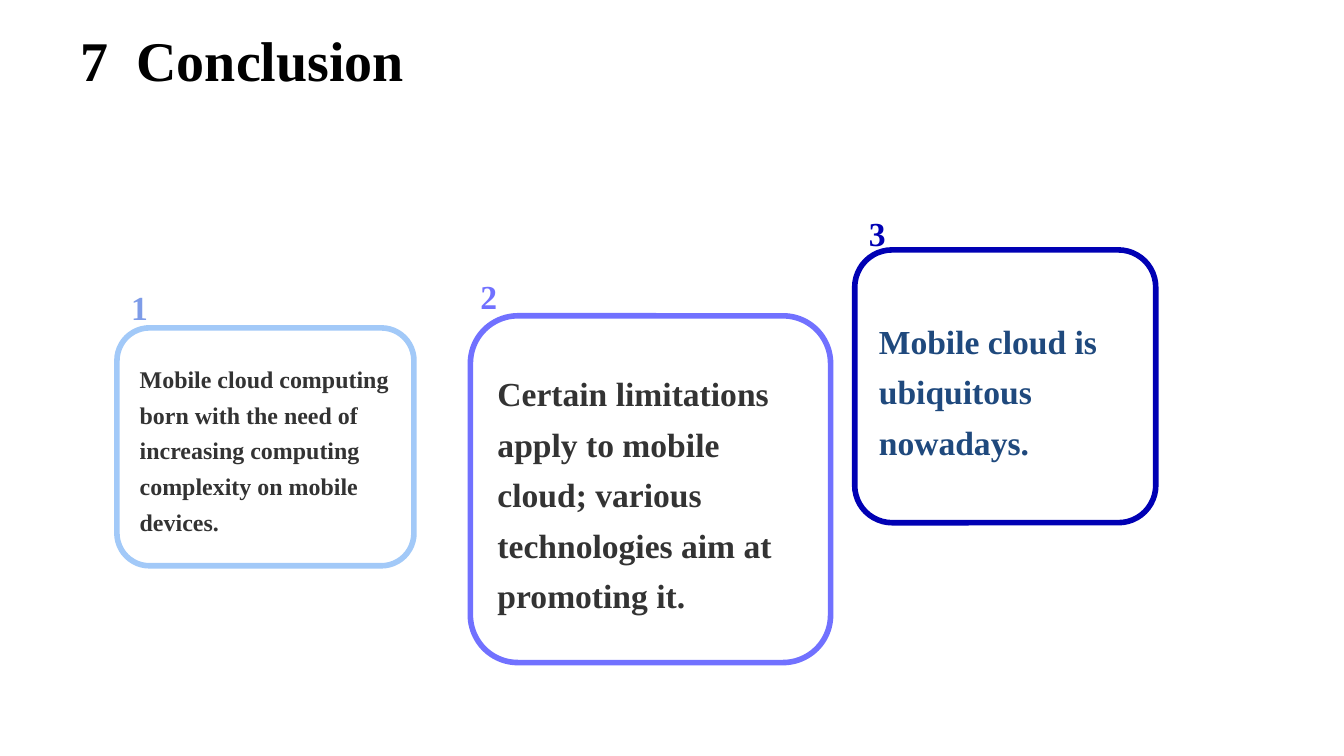
from pptx import Presentation
from pptx.dml.color import RGBColor
from pptx.enum.shapes import MSO_SHAPE as Shape
from pptx.enum.text import MSO_ANCHOR as Anchor, PP_ALIGN as Align
from pptx.util import Inches, Pt

COLUMN = ROW = Inches(0.1)  # the slide is 100 columns by 56.25 rows
COLORS = {
    "black": "000000", "charcoal": "333333", "navy": "1F497D",
    "sky": "A2C9F8", "periwinkle": "7E9CE8", "violet": "7171FF", "blue": "0000B4",
}


def write(shape, text, size, color, anchor, align=Align.LEFT, spacing=1.0):
    frame = shape.text_frame
    frame.word_wrap = True
    frame.vertical_anchor = anchor
    para = frame.paragraphs[0]
    para.alignment, para.line_spacing = align, spacing
    span = para.add_run()
    span.text = text
    for name, value in {"name": "Times New Roman", "size": Pt(size), "bold": True}.items():
        setattr(span.font, name, value)
    span.font.color.rgb = RGBColor.from_string(COLORS[color])


def add_box(group, left, top, width, height):
    """Add an unfilled rounded box, placed in grid columns and rows."""
    box = group.shapes.add_shape(
        Shape.ROUNDED_RECTANGLE, int(left * COLUMN), int(top * ROW),
        int(width * COLUMN), int(height * ROW))
    box.adjustments[0] = 0.137
    box.shadow.inherit = False
    box.fill.background()
    box.line.fill.background()
    return box


deck = Presentation()
deck.slide_width, deck.slide_height = 100 * COLUMN, int(56.25 * ROW)
page = deck.slides.add_slide(deck.slide_layouts[5])

title = page.shapes.title
title_place = {"left": 5 * COLUMN, "top": int(1.4 * ROW),
               "width": 90 * COLUMN, "height": int(9.4 * ROW)}
for name, value in title_place.items():
    setattr(title, name, value)
write(title, "7  Conclusion", 30, "black", Anchor.TOP)

# card place, number place, number's right margin in columns,
# text, text size, text colour, outline, number colour, number spacing
conclusions = [
    ((8.7, 24.4, 22.1, 17.7), (8.7, 12.4, 2.5, 20.9), 0.1,
     "Mobile cloud computing born with the need of increasing computing "
     "complexity on mobile devices.", 12.8, "charcoal", "sky", "periwinkle", 1.0),
    ((35, 23.5, 26.8, 25.8), (34.7, 9.2, 2.7, 24.9), 0.3,
     "Certain limitations apply to mobile cloud; various technologies aim at "
     "promoting it.", 18, "charcoal", "violet", "violet", 1.25),
    ((63.6, 18.6, 22.4, 20.3), (63.6, 8, 2.5, 17.9), 0.1,
     "Mobile cloud is ubiquitous nowadays.", 18, "navy", "blue", "blue", 1.25),
]
for number, conclusion in enumerate(conclusions, start=1):
    card_place, label_place, margin, text, size, ink, outline, accent, spacing = conclusion
    group = page.shapes.add_group_shape()

    card = add_box(group, *card_place)
    card.line.color.rgb = RGBColor.from_string(COLORS[outline])
    card.line.width = Pt(3)
    write(card, text, size, ink, Anchor.MIDDLE, spacing=1.25)

    label = add_box(group, *label_place)
    for name, value in {"margin_left": 0, "margin_right": int(margin * COLUMN)}.items():
        setattr(label.text_frame, name, value)
    write(label, str(number), 18, accent, Anchor.MIDDLE, Align.RIGHT, spacing)

deck.save("out.pptx")
